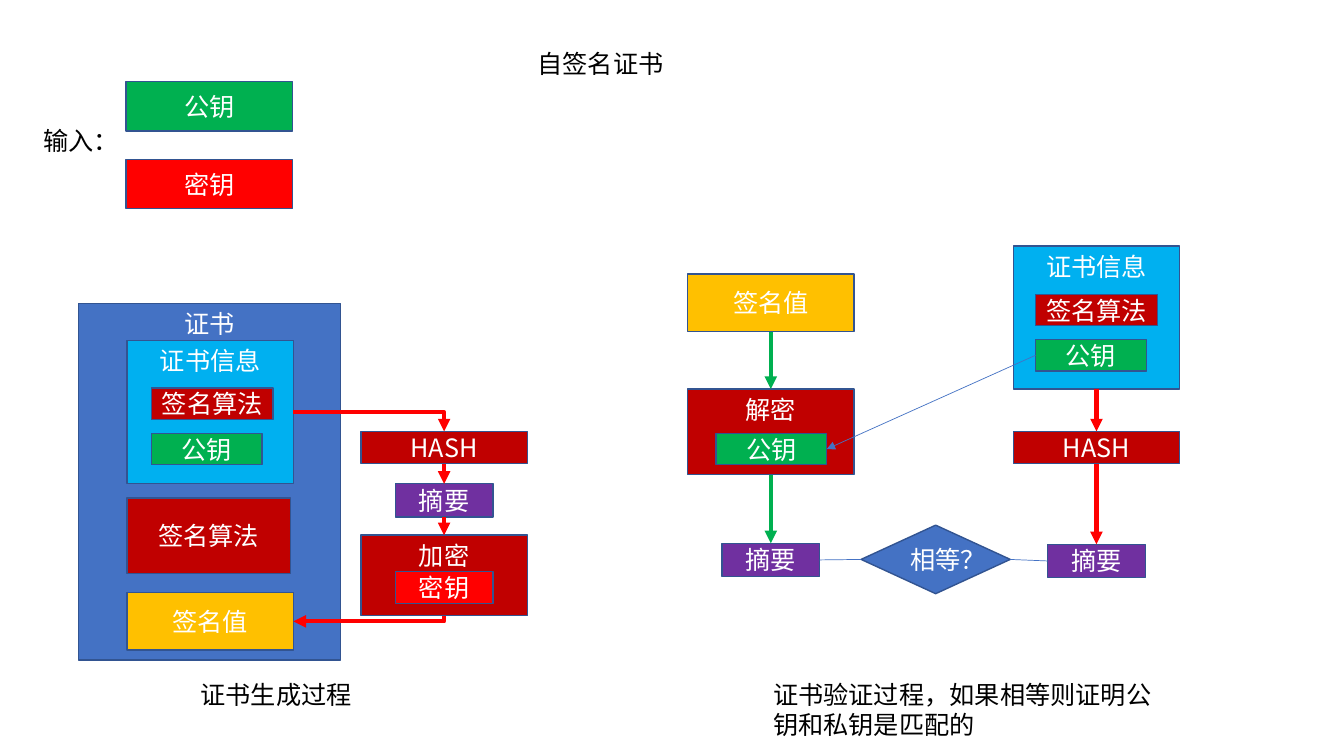
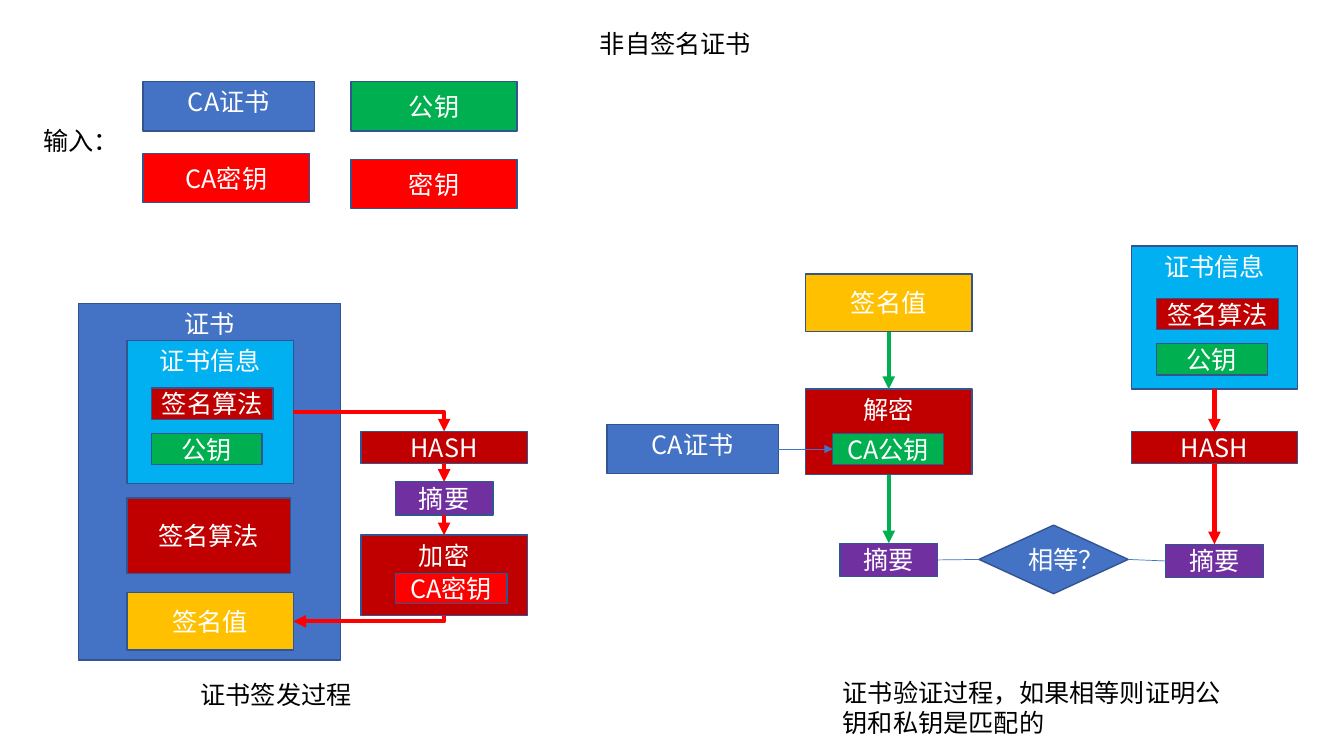
from lxml.etree import SubElement
from pptx import Presentation
from pptx.dml.color import RGBColor
from pptx.enum.shapes import MSO_CONNECTOR as Conn, MSO_SHAPE as Geo
from pptx.enum.text import MSO_ANCHOR as Anchor, MSO_AUTO_SIZE as Auto, PP_ALIGN as Align
from pptx.oxml.ns import qn
from pptx.util import Inches, Pt

FONT = "Noto Sans CJK SC"
HUES = {
    "blue": "4472C4", "edge": "325491", "sky": "00B0F0", "gold": "FFC000",
    "green": "00B050", "red": "FF0000", "dark": "C00000", "plum": "7030A0",
    "white": "FFFFFF", "black": "000000",
}
TOP, LEFT, BASE, RIGHT = range(4)
HEADS = {"cert", "info", "lock", "open", "info2", "ca", "ca2"}

ISSUE = [
    ("cert", "证书", "blue", (0.78, 3.01, 2.6, 3.54)),
    ("info", "证书信息", "sky", (1.26, 3.38, 1.65, 1.42)),
    ("sign", "签名值", "gold", (1.26, 5.88, 1.65, 0.57)),
    ("pub", "公钥", "green", (1.5, 4.3, 1.1, 0.31)),
    ("algo", "签名算法", "dark", (1.5, 3.85, 1.21, 0.31)),
    ("algo2", "签名算法", "dark", (1.26, 4.94, 1.62, 0.75)),
    ("hash", "HASH", "dark", (3.58, 4.28, 1.65, 0.32)),
    ("lock", "加密", "dark", (3.58, 5.31, 1.65, 0.8)),
]
CHECK = [
    ("sign2", "签名值", "gold", (6.82, 2.72, 1.65, 0.57)),
    ("open", "解密", "dark", (6.82, 3.86, 1.65, 0.85)),
    ("sum2", "摘要", "plum", (7.16, 5.39, 0.97, 0.33)),
    ("sum3", "摘要", "plum", (10.39, 5.4, 0.97, 0.33)),
    ("info2", "证书信息", "sky", (10.05, 2.44, 1.65, 1.42)),
    ("hash2", "HASH", "dark", (10.05, 4.28, 1.65, 0.32)),
    ("same", "相等？", "blue", (8.54, 5.21, 1.48, 0.68)),
]
LINKS = [
    ("info", RIGHT, "hash", TOP, "red"),
    ("hash", BASE, "sum", TOP, "red"),
    ("sum", BASE, "lock", TOP, "red"),
    ("lock", BASE, "sign", RIGHT, "red"),
    ("sign2", BASE, "open", TOP, "green"),
    ("open", BASE, "sum2", TOP, "green"),
    ("info2", BASE, "hash2", TOP, "red"),
    ("hash2", BASE, "sum3", TOP, "red"),
    ("sum2", RIGHT, "same", LEFT, "blue"),
    ("sum3", LEFT, "same", RIGHT, "blue"),
]
PROOF = "证书验证过程，如果相等则证明公钥和私钥是匹配的"
PAGES = [
    {
        "title": ("自签名证书", (5.23, 0.43, 2.42, 0.4)),
        "shift": 0,
        "boxes": [
            ("in1", "公钥", "green", (1.25, 0.81, 1.65, 0.49)),
            ("in2", "密钥", "red", (1.25, 1.58, 1.65, 0.49)),
            ("priv", "密钥", "red", (3.92, 5.67, 0.97, 0.32)),
            ("sum", "摘要", "plum", (3.92, 4.8, 0.97, 0.33)),
            ("key", "公钥", "green", (7.1, 4.3, 1.1, 0.31)),
            ("pub2", "公钥", "green", (10.27, 3.37, 1.1, 0.31)),
            ("algo3", "签名算法", "dark", (10.27, 2.92, 1.21, 0.31)),
        ],
        "link": ("pub2", LEFT, "key", RIGHT, "blue"),
        "notes": [("证书生成过程", (1.89, 6.69, 2.6, 0.4)),
                  (PROOF, (7.57, 6.69, 4.13, 0.71))],
    },
    {
        "title": ("非自签名证书", (5.85, 0.23, 2.42, 0.4)),
        "shift": 1.17,
        "boxes": [
            ("in1", "公钥", "green", (3.48, 0.81, 1.65, 0.49)),
            ("in2", "密钥", "red", (3.48, 1.58, 1.65, 0.49)),
            ("ca", "CA证书", "blue", (1.42, 0.81, 1.7, 0.49)),
            ("in3", "CA密钥", "red", (1.42, 1.52, 1.65, 0.49)),
            ("priv", "CA密钥", "red", (3.92, 5.69, 1.11, 0.3)),
            ("sum", "摘要", "plum", (3.92, 4.78, 0.97, 0.33)),
            ("key", "CA公钥", "green", (8.26, 4.3, 1.1, 0.31)),
            ("ca2", "CA证书", "blue", (6.02, 4.21, 1.7, 0.49)),
            ("pub2", "公钥", "green", (11.47, 3.41, 1.1, 0.31)),
            ("algo3", "签名算法", "dark", (11.47, 2.96, 1.21, 0.31)),
        ],
        "link": ("ca2", RIGHT, "key", LEFT, "blue"),
        "notes": [("证书签发过程", (1.89, 6.69, 2.6, 0.4)),
                  (PROOF, (8.26, 6.67, 4.14, 0.71))],
    },
]


def tint(name):
    return RGBColor.from_string(HUES[name])


def write(shape, text, hue="black", size=18, align=Align.LEFT, anchor=Anchor.TOP):
    frame = shape.text_frame
    frame.word_wrap = True
    frame.auto_size = Auto.NONE
    frame.vertical_anchor = anchor
    para = frame.paragraphs[0]
    para.alignment = align
    run = para.add_run()
    run.text = text
    font = run.font
    font.name, font.size, font.color.rgb = FONT, Pt(size), tint(hue)
    SubElement(font._element, qn("a:ea"), typeface=FONT)


def add_box(slide, key, text, hue, at):
    geo = Geo.FLOWCHART_DECISION if key == "same" else Geo.RECTANGLE
    box = slide.shapes.add_shape(geo, *map(Inches, at))
    box.shadow.inherit = False
    box.fill.solid()
    box.fill.fore_color.rgb = tint(hue)
    box.line.color.rgb = tint("edge")
    box.line.width = Pt(1)
    write(box, text, hue="white", align=Align.CENTER,
          anchor=Anchor.TOP if key in HEADS else Anchor.MIDDLE)
    return box


def turn(line):
    left, top, wide, high = line.left, line.top, line.width, line.height
    line.left = left + (wide - high) // 2
    line.top = top + (high - wide) // 2
    line.width, line.height = high, wide
    xfrm = line._element.spPr.find(qn("a:xfrm"))
    xfrm.attrib.pop("flipH", None)
    xfrm.set("rot", "5400000")


def add_link(slide, boxes, start, out, end, into, hue):
    bent = (out - into) % 2 == 1
    kind = Conn.ELBOW if bent else Conn.STRAIGHT
    line = slide.shapes.add_connector(kind, 0, 0, 0, 0)
    line.begin_connect(boxes[start], out)
    line.end_connect(boxes[end], into)
    line.line.color.rgb = tint(hue)
    line.line.width = Pt(0.5 if hue == "blue" else 3)
    props = line._element.spPr
    if bent:
        props.find(qn("a:prstGeom")).set("prst", "bentConnector2")
        if out == BASE:
            turn(line)
    if end != "same":
        SubElement(props.find(qn("a:ln")), qn("a:tailEnd"), type="triangle")
    SubElement(props, qn("a:effectLst"))


def add_page(deck, page):
    slide = deck.slides.add_slide(deck.slide_layouts[5])
    title = slide.shapes.title
    text, at = page["title"]
    title.left, title.top, title.width, title.height = map(Inches, at)
    write(title, text)
    moved = [(key, text, hue, (at[0] + page["shift"], *at[1:]))
             for key, text, hue, at in CHECK]
    boxes = {item[0]: add_box(slide, *item)
             for item in ISSUE + moved + page["boxes"]}
    for link in LINKS + [page["link"]]:
        add_link(slide, boxes, *link)
    for text, at in page["notes"] + [("输入：", (0.33, 1.19, 0.88, 0.4))]:
        write(slide.shapes.add_textbox(*map(Inches, at)), text)


def main():
    deck = Presentation()
    deck.slide_width, deck.slide_height = Inches(13.33), Inches(7.5)
    for page in PAGES:
        add_page(deck, page)
    deck.save("out.pptx")


if __name__ == "__main__":
    main()
